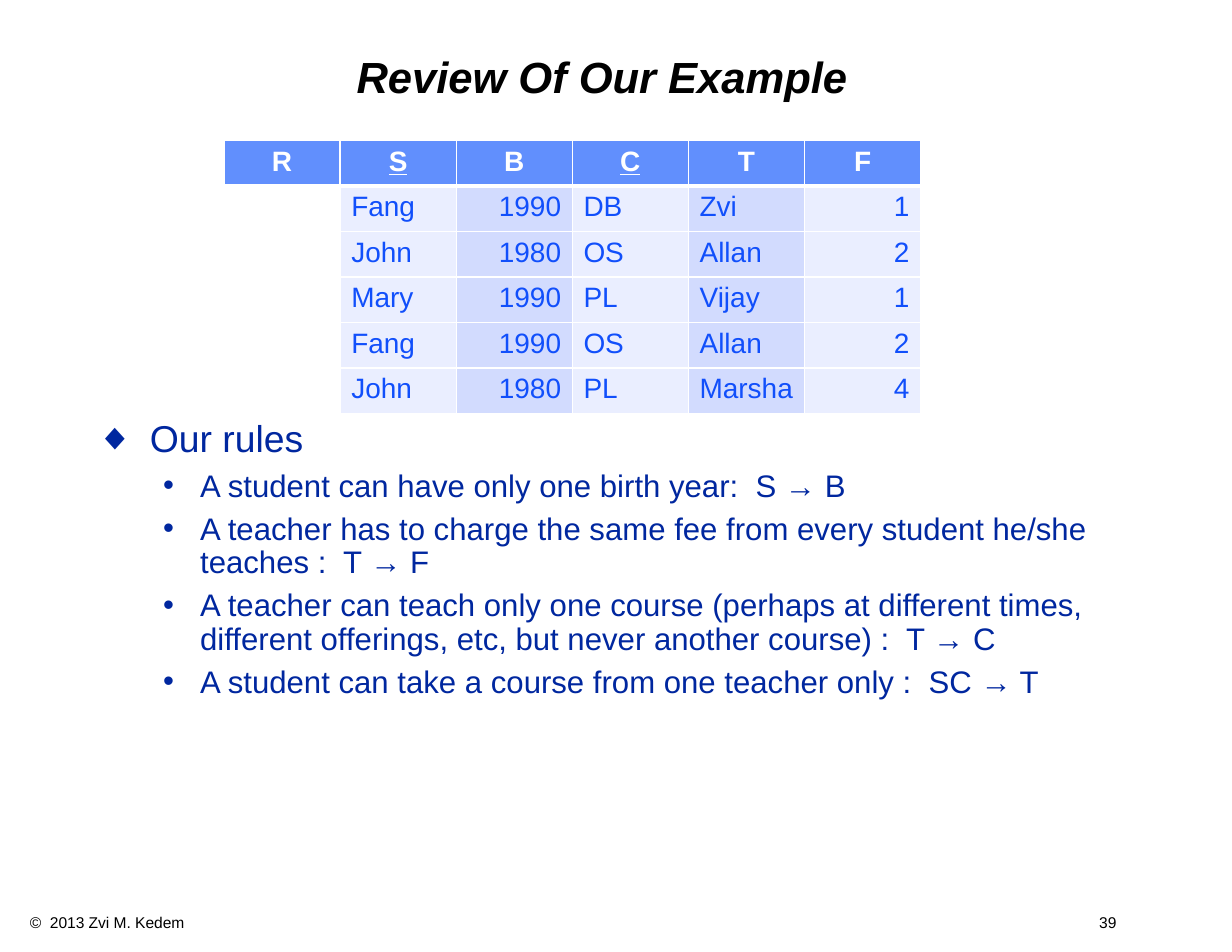
from dataclasses import dataclass

from lxml.etree import SubElement
from pptx import Presentation
from pptx.dml.color import RGBColor
from pptx.enum.text import MSO_ANCHOR, PP_ALIGN
from pptx.oxml.ns import qn
from pptx.util import Cm, Pt

FONT = "Arial"
COLORS = {
    "black": "000000",
    "white": "FFFFFF",
    "rule": "00279F",
    "header": "618FFD",
    "cell": "114FFB",
    "light": "EAEEFF",
    "dark": "D2DBFE",
}
HEADERS = ["R", "S", "B", "C", "T", "F"]
KEYS = {"S", "C"}
NUMERIC = {"B", "F"}
ROWS = [
    ["", "Fang", "1990", "DB", "Zvi", "1"],
    ["", "John", "1980", "OS", "Allan", "2"],
    ["", "Mary", "1990", "PL", "Vijay", "1"],
    ["", "Fang", "1990", "OS", "Allan", "2"],
    ["", "John", "1980", "PL", "Marsha", "4"],
]
COLUMN_FILLS = ["white", "light", "dark", "light", "dark", "light"]


@dataclass(frozen=True)
class Box:
    left: float
    top: float
    width: float
    height: float


@dataclass(frozen=True)
class Level:
    bullet: str
    size: int
    margin: float
    hanging: float
    before: int


@dataclass(frozen=True)
class Rule:
    text: str
    level: Level


HEADING = Level("◆", 24, 1.22, 1.22, 0)
ITEM = Level("•", 20, 2.36, 0.84, 6)
RULES = [
    Rule("Our rules", HEADING),
    Rule("A student can have only one birth year:  S → B", ITEM),
    Rule("A teacher has to charge the same fee from every student "
         "he/she teaches :  T → F", ITEM),
    Rule("A teacher can teach only one course (perhaps at different times, "
         "different offerings, etc, but never another course) :  T → C", ITEM),
    Rule("A student can take a course from one teacher only :  SC → T", ITEM),
]


def rgb(name: str) -> RGBColor:
    return RGBColor.from_string(COLORS[name])


def add_run(p, text: str, color: str, size: int, **formats) -> None:
    r = p.add_run()
    r.text = text
    r.font.color.rgb = rgb(color)
    for name, value in {"name": FONT, "size": Pt(size), **formats}.items():
        setattr(r.font, name, value)


def add_text_frame(s, box: Box, **formats):
    sp = s.shapes.add_textbox(Cm(box.left), Cm(box.top),
                              Cm(box.width), Cm(box.height))
    tf = sp.text_frame
    for name, value in {"word_wrap": True, **formats}.items():
        setattr(tf, name, value)
    return tf


def add_footer(s, box: Box, text: str, number: str) -> None:
    """Put the text at the left and the number at a right-aligned tab."""
    p = add_text_frame(s, box).paragraphs[0]
    tabs = SubElement(p._p.get_or_add_pPr(), qn("a:tabLst"))
    SubElement(tabs, qn("a:tab"), pos=str(Cm(24.64)), algn="r")
    add_run(p, f"{text}\t{number}", "black", 10)


def add_title(s, box: Box, text: str) -> None:
    p = add_text_frame(s, box, vertical_anchor=MSO_ANCHOR.MIDDLE).paragraphs[0]
    p.alignment = PP_ALIGN.CENTER
    p.line_spacing = 0.9
    add_run(p, text, "black", 28, bold=True, italic=True)


def set_bullet(p, level: Level) -> None:
    pPr = p._p.get_or_add_pPr()
    pPr.set("marL", str(Cm(level.margin)))
    pPr.set("indent", str(-Cm(level.hanging)))
    color = SubElement(pPr, qn("a:buClr"))
    SubElement(color, qn("a:srgbClr"), val=COLORS["rule"])
    SubElement(pPr, qn("a:buFont"), typeface=FONT)
    SubElement(pPr, qn("a:buChar"), char=level.bullet)


def add_rules(s, box: Box, rules: list[Rule]) -> None:
    """List the rules, with a top margin that clears the table."""
    tf = add_text_frame(s, box, margin_left=Cm(0.28), margin_right=Cm(0.28),
                        margin_top=Cm(6.15))
    for i, rule in enumerate(rules):
        p = tf.add_paragraph() if i else tf.paragraphs[0]
        p.level = int(rule.level is ITEM)
        p.line_spacing = 0.9
        p.space_before = Pt(rule.level.before)
        set_bullet(p, rule.level)
        add_run(p, rule.text, "rule", rule.level.size)


def set_borders(cell, **widths: int) -> None:
    tcPr = cell._tc.get_or_add_tcPr()
    for side in "LRTB":
        ln = SubElement(tcPr, qn(f"a:ln{side}"), w=str(Pt(widths.get(side, 1))))
        fill = SubElement(ln, qn("a:solidFill"))
        SubElement(fill, qn("a:srgbClr"), val=COLORS["white"])


def fill_cell(cell, text: str, fill: str, align, color: str, **formats) -> None:
    cell.fill.solid()
    cell.fill.fore_color.rgb = rgb(fill)
    if text:
        p = cell.text_frame.paragraphs[0]
        p.alignment = align
        add_run(p, text, color, 18, **formats)


def add_relation(s, box: Box) -> None:
    table = s.shapes.add_table(len(ROWS) + 1, len(HEADERS), Cm(box.left),
                               Cm(box.top), Cm(box.width), Cm(box.height)).table
    table.first_row = table.horz_banding = False
    for col, header in enumerate(HEADERS):
        cell = table.cell(0, col)
        set_borders(cell, B=3)
        fill_cell(cell, header, "header", PP_ALIGN.CENTER, "white",
                  bold=True, underline=header in KEYS)
        align = PP_ALIGN.RIGHT if header in NUMERIC else PP_ALIGN.LEFT
        for row, values in enumerate(ROWS, start=1):
            cell = table.cell(row, col)
            set_borders(cell, T=3 if row == 1 else 1)
            fill_cell(cell, values[col], COLUMN_FILLS[col], align, "cell")


def main() -> None:
    prs = Presentation()
    prs.slide_width, prs.slide_height = Cm(27.94), Cm(21.59)
    s = prs.slides.add_slide(prs.slide_layouts[6])
    add_footer(s, Box(0.43, 20.57, 26.26, 0.69), "©  2013 Zvi M. Kedem", "39")
    add_title(s, Box(1.9, 0.64, 23.5, 2.33), "Review Of Our Example")
    add_rules(s, Box(1.9, 3.39, 23.71, 16.93), RULES)
    add_relation(s, Box(5.08, 3.18, 15.8, 6.2))
    prs.save("out.pptx")


if __name__ == "__main__":
    main()
